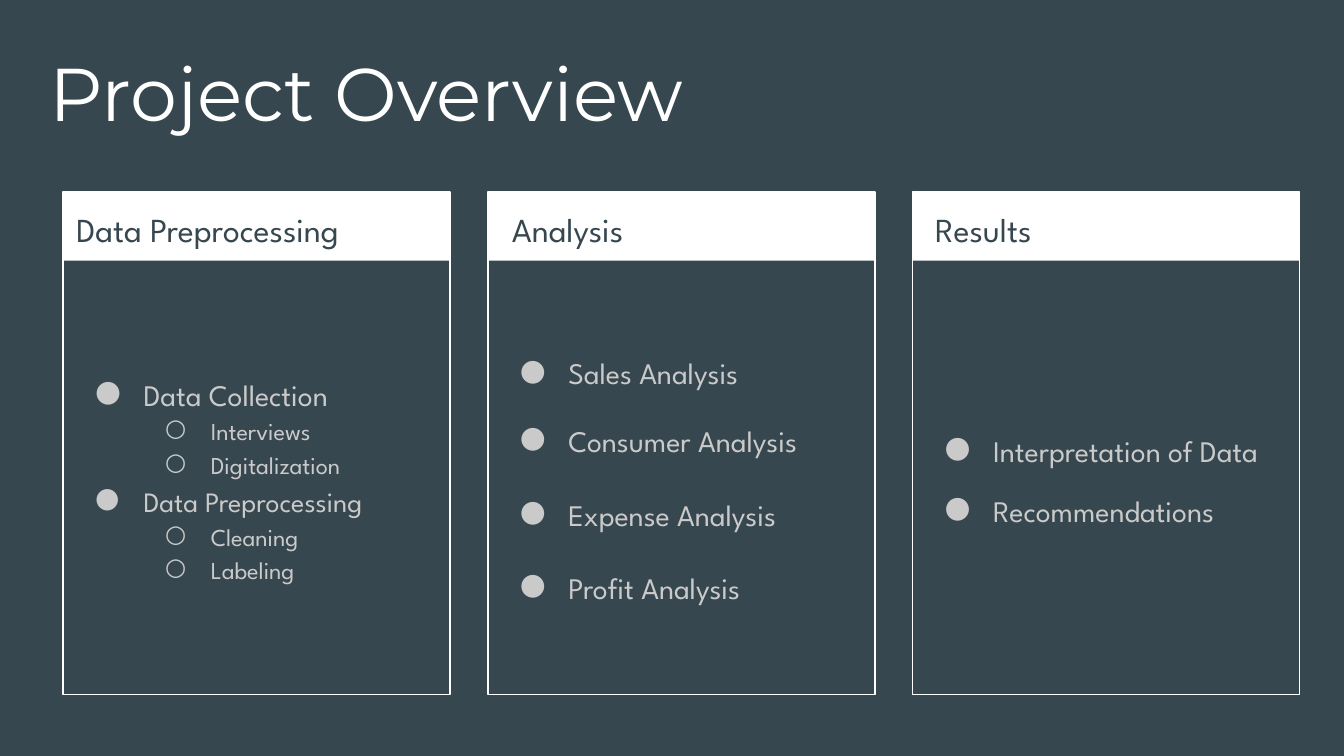
from lxml import etree
from pptx import Presentation
from pptx.dml.color import RGBColor
from pptx.enum import shapes, text
from pptx.oxml import ns
from pptx.util import Inches, Pt

SLATE, WHITE, GRAY = "37474F", "FFFFFF", "CACACA"
BODY_FONT, TITLE_FONT = "League Spartan", "Montserrat"
TITLE = "Project Overview"
CARDS = [
    {"heading": "Data Preprocessing", "inset": 0, "items": [
        ("Data Collection", 0, 16, 0),
        ("Interviews", 1, 13, 0),
        ("Digitalization", 1, 13, 0),
        ("Data Preprocessing", 0, 15, 0),
        ("Cleaning", 1, 13, 0),
        ("Labeling", 1, 13, 0)]},
    {"heading": "Analysis", "inset": 0.08, "items": [
        ("Sales Analysis", 0, 16, 14),
        ("Consumer Analysis", 0, 16, 17.5),
        ("Expense Analysis", 0, 16, 17.5),
        ("Profit Analysis", 0, 16, 0)]},
    {"heading": "Results", "inset": 0.07, "items": [
        ("Interpretation of Data", 0, 16, 10.5),
        ("Recommendations", 0, 16, 0)]},
]
BULLETS = [("●", 0.5, 0.36), ("○", 1, 0.34)]
LEFT, TOP, STEP = 0.47, 1.43, 3.16
WIDTH, HEIGHT, HEADER = 2.88, 3.74, 0.51


def color(value):
    return RGBColor.from_string(value)


def add_box(slide, left, top, width, height, fill=None, line=None):
    shape = slide.shapes.add_shape(
        shapes.MSO_SHAPE.RECTANGLE, *map(Inches, (left, top, width, height)))
    shape.shadow.inherit = False
    if fill:
        shape.fill.solid()
        shape.fill.fore_color.rgb = color(fill)
    else:
        shape.fill.background()
    if line:
        shape.line.color.rgb = color(line)
        shape.line.width = Pt(0.75)
    else:
        shape.line.fill.background()


def add_frame(slide, left, top, width, height, anchor):
    frame = slide.shapes.add_textbox(
        *map(Inches, (left, top, width, height))).text_frame
    frame.word_wrap = True
    frame.vertical_anchor = anchor
    frame.margin_left = frame.margin_right = Inches(0.1)
    frame.margin_top = frame.margin_bottom = Inches(0.1)
    return frame


def write(paragraph, words, size, fill, font=BODY_FONT, spacing=1.15, after=0):
    run = paragraph.add_run()
    run.text = words
    run.font.name = font
    run.font.size = Pt(size)
    run.font.color.rgb = color(fill)
    paragraph.line_spacing = spacing
    paragraph.space_after = Pt(after)


def add_bullet(paragraph, level):
    symbol, margin, hanging = BULLETS[level]
    paragraph.level = level
    properties = paragraph._p.get_or_add_pPr()
    properties.set("marL", str(Inches(margin)))
    properties.set("indent", str(-Inches(hanging)))
    bullet_color = etree.SubElement(properties, ns.qn("a:buClr"))
    etree.SubElement(bullet_color, ns.qn("a:srgbClr"), val=GRAY)
    etree.SubElement(properties, ns.qn("a:buFont"), typeface=BODY_FONT)
    etree.SubElement(properties, ns.qn("a:buChar"), char=symbol)


def add_card(slide, left, heading, inset, items):
    add_box(slide, left, TOP, WIDTH, HEADER, fill=WHITE)
    add_box(slide, left, TOP, WIDTH, HEIGHT, line=WHITE)
    middle = text.MSO_ANCHOR.MIDDLE
    frame = add_frame(slide, left + inset, TOP, WIDTH - 2 * inset, 0.5, middle)
    write(frame.paragraphs[0], heading, 18, SLATE)
    frame = add_frame(slide, left, TOP + 0.52, WIDTH, 3.21, middle)
    for index, (words, level, size, after) in enumerate(items):
        paragraph = frame.add_paragraph() if index else frame.paragraphs[0]
        write(paragraph, words, size, GRAY, after=after)
        add_bullet(paragraph, level)


def main():
    presentation = Presentation()
    presentation.slide_width = Inches(10)
    presentation.slide_height = Inches(10) * 9 // 16
    slide = presentation.slides.add_slide(presentation.slide_layouts[6])
    slide.background.fill.solid()
    slide.background.fill.fore_color.rgb = color(SLATE)
    frame = add_frame(slide, 0.27, 0.25, 9.32, 0.63, text.MSO_ANCHOR.TOP)
    write(frame.paragraphs[0], TITLE, 40, WHITE, font=TITLE_FONT, spacing=1)
    for index, card in enumerate(CARDS):
        add_card(slide, LEFT + index * STEP, **card)
    presentation.save("out.pptx")


if __name__ == "__main__":
    main()
